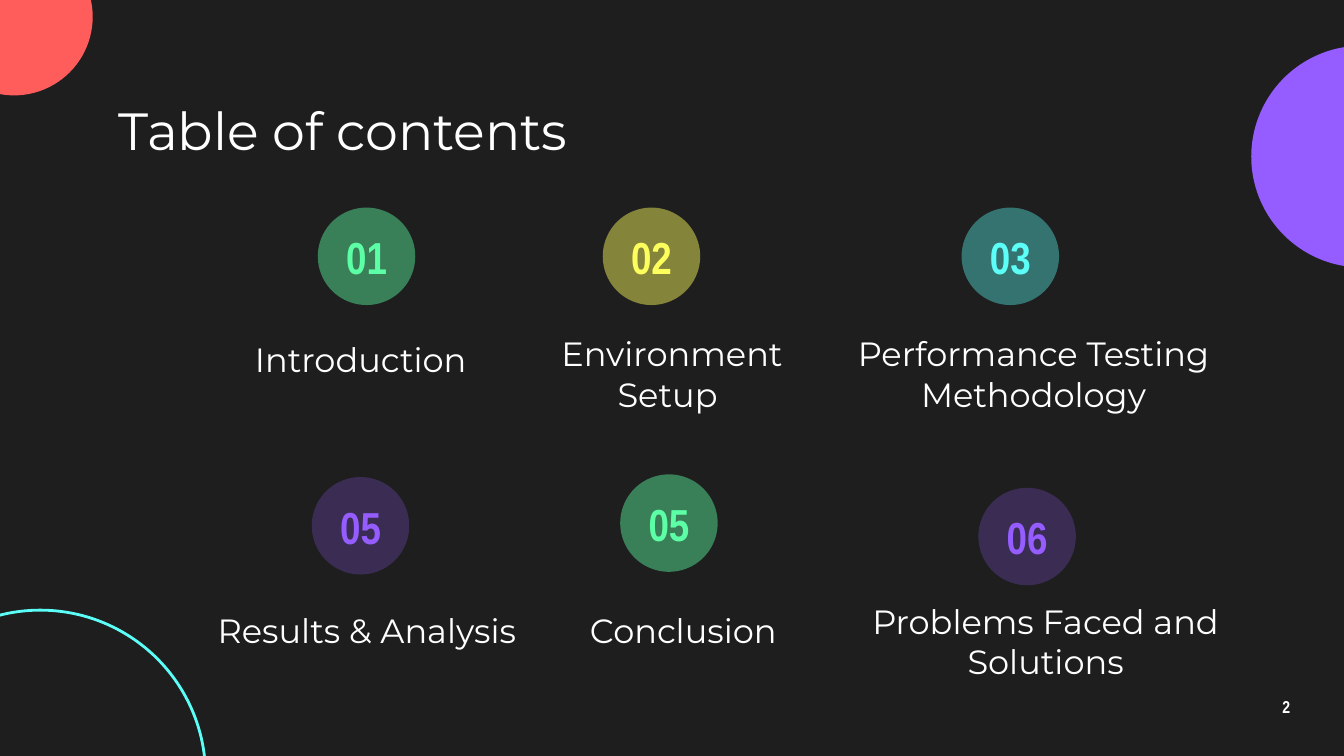
import pptx
import pptx.dml.color
import pptx.enum.shapes
import pptx.enum.text
import pptx.oxml
import pptx.oxml.ns
import pptx.util

COLOURS = {
    "background": "1E1E1E",
    "white": "FFFFFF",
    "green": "5CFFA6",
    "yellow": "FDFF5C",
    "cyan": "5CFFF8",
    "purple": "955CFF",
    "red": "FF5C5C",
}
OPACITY = {"green": 44, "yellow": 46, "cyan": 38, "purple": 24}
HEADING_FONT = "Montserrat"
NUMBER_FONT = "Arial Narrow"

TITLE = "Table of contents"
PAGE_NUMBER = "2"

# The slide is a square grid, 100 columns wide; every length is in columns.
COLUMNS = 100
SLIDE_WIDTH = pptx.util.Inches(10)
SLIDE_HEIGHT = SLIDE_WIDTH * 9 // 16
UNIT = SLIDE_WIDTH / COLUMNS

BADGE_SIZE = 7.25
NUMBER_HEIGHT = 5
NUMBER_DROP = 1.15
LABEL_HEIGHT = 6
BADGE_LEFTS = [23.65, 44.85, 71.55]
BADGE_TOPS = [15.45, 35.5]

# number, label, colour, badge shift (x, y), label (left, top, width)
ENTRIES = [
    [
        ("01", "Introduction", "green", (0, 0), (17, 23.7, 19.7)),
        ("02", "Environment Setup ", "yellow", (0, 0), (37.1, 24.8, 25.8)),
        ("03", "Performance Testing Methodology", "cyan", (0, 0), (60.7, 24.8, 32.4)),
    ],
    [
        ("05", "Results & Analysis", "purple", (-0.45, 0), (14.7, 43.9, 25.2)),
        ("05", "Conclusion", "green", (1.3, -0.2), (41, 43.9, 19.7)),
        ("06", "Problems Faced and Solutions", "purple", (1.25, 0.8), (62.9, 44.7, 29.8)),
    ],
]

# left, top, diameter, fill, outline
DECORATIONS = [
    (93.1, 3.4, 16.5, "purple", None),
    (-4.8, -4.6, 11.7, "red", None),
    (-9.3, 45.4, 24.6, None, "cyan"),
]


def colour(name):
    return pptx.dml.color.RGBColor.from_string(COLOURS[name])


def place(*lengths):
    """Turn grid columns into slide lengths."""
    return [round(length * UNIT) for length in lengths]


def add_circle(slide, left, top, diameter, fill=None, outline=None, opacity=100):
    shape = slide.shapes.add_shape(
        pptx.enum.shapes.MSO_SHAPE.OVAL, *place(left, top, diameter, diameter))
    shape.shadow.inherit = False
    if fill:
        shape.fill.solid()
        shape.fill.fore_color.rgb = colour(fill)
        if opacity < 100:
            properties = shape.element.spPr
            colour_element = properties.find(".//" + pptx.oxml.ns.qn("a:srgbClr"))
            alpha = pptx.oxml.parse_xml(
                f'<a:alpha {pptx.oxml.ns.nsdecls("a")} val="{opacity * 1000}"/>')
            colour_element.append(alpha)
    else:
        shape.fill.background()
    if outline:
        shape.line.color.rgb = colour(outline)
        shape.line.width = pptx.util.Pt(1.5)
    else:
        shape.line.fill.background()


def add_text(slide, text, left, top, width, height, *, size, font=HEADING_FONT,
             fill="white", bold=False, align="CENTER", line_spacing=None):
    box = slide.shapes.add_textbox(*place(left, top, width, height))
    frame = box.text_frame
    frame.word_wrap = True
    frame.vertical_anchor = pptx.enum.text.MSO_ANCHOR.MIDDLE
    frame.margin_left = frame.margin_right = pptx.util.Inches(0.1)
    frame.margin_top = frame.margin_bottom = pptx.util.Inches(0.1)
    paragraph = frame.paragraphs[0]
    paragraph.alignment = pptx.enum.text.PP_ALIGN[align]
    paragraph.line_spacing = line_spacing
    run = paragraph.add_run()
    run.text = text
    run.font.size = pptx.util.Pt(size)
    run.font.name = font
    run.font.bold = bold
    run.font.color.rgb = colour(fill)


def add_entry(slide, left, top, number, label, fill, label_place):
    add_circle(slide, left, top, BADGE_SIZE, fill, opacity=OPACITY[fill])
    add_text(slide, number, left, top + NUMBER_DROP, BADGE_SIZE, NUMBER_HEIGHT,
             size=24, font=NUMBER_FONT, fill=fill, bold=True)
    add_text(slide, label, *label_place, LABEL_HEIGHT, size=18)


def main():
    presentation = pptx.Presentation()
    presentation.slide_width = SLIDE_WIDTH
    presentation.slide_height = SLIDE_HEIGHT
    slide = presentation.slides.add_slide(presentation.slide_layouts[6])
    slide.background.fill.solid()
    slide.background.fill.fore_color.rgb = colour("background")

    for decoration in DECORATIONS:
        add_circle(slide, *decoration)
    add_text(slide, TITLE, 7.85, 7.1, 84.4, 5.1, size=28, align="LEFT")
    for badge_top, row in zip(BADGE_TOPS, ENTRIES):
        for badge_left, entry in zip(BADGE_LEFTS, row):
            number, label, fill, (shift_x, shift_y), label_place = entry
            add_entry(slide, badge_left + shift_x, badge_top + shift_y,
                      number, label, fill, label_place)
    add_text(slide, PAGE_NUMBER, 92.7, 51, 6, 3.4, size=9.2, font=NUMBER_FONT,
             bold=True, line_spacing=0.9)
    presentation.save("out.pptx")


if __name__ == "__main__":
    main()
